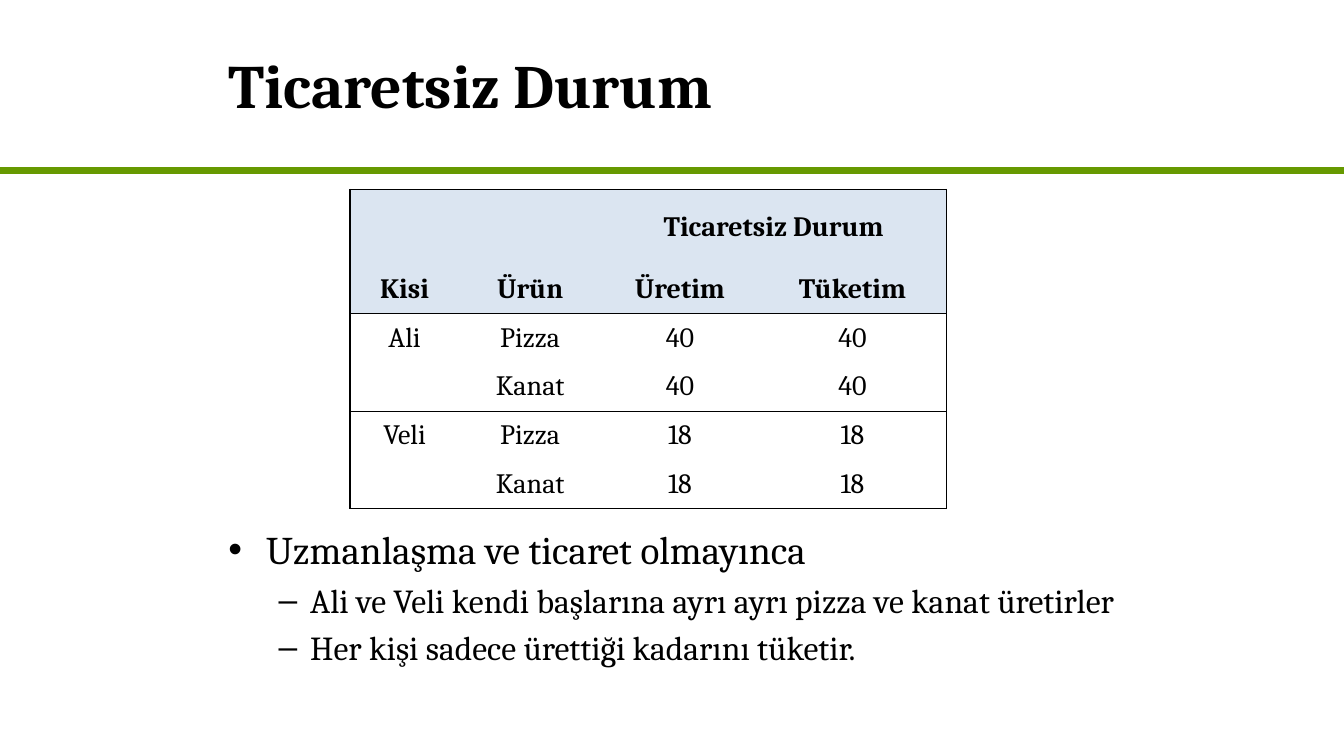
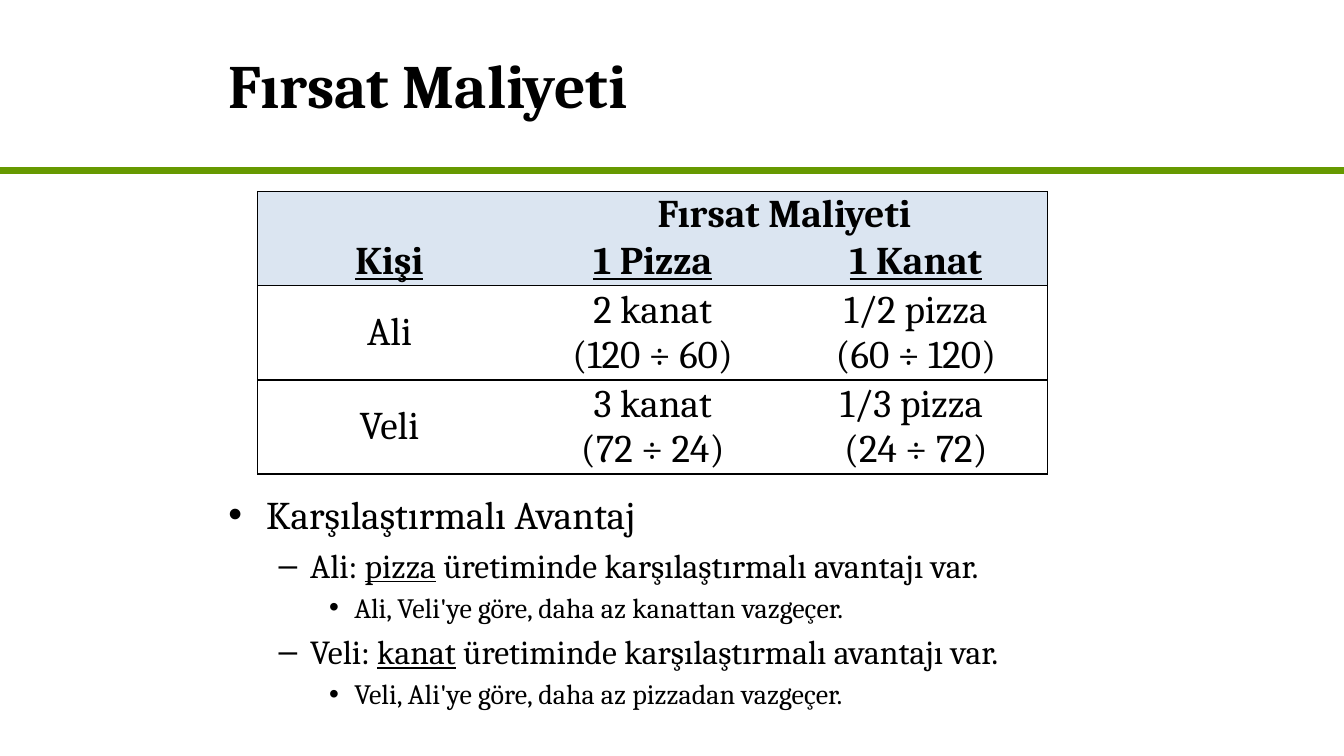
import pptx
import pptx.dml.color
import pptx.enum.shapes
import pptx.enum.text
import pptx.oxml
import pptx.oxml.ns
import pptx.util
from pptx.util import Pt

RGB = pptx.dml.color.RGBColor
BLACK = RGB(0x00, 0x00, 0x00)
GREEN = RGB(0x66, 0x99, 0x00)
PALE_BLUE = RGB(0xDB, 0xE5, 0xF1)
FONT = "Cambria"
SLIDE_W, SLIDE_H = 960, 540
LEFT = 156
RULE_Y = 121.7
HEADER_ROWS = 2
NS = pptx.oxml.ns.nsdecls("a")

# Per outline level: text size, left margin, hanging indent, bullet
LEVELS = [(28, 27, 27, "•"), (24, 58.5, 22.5, "–"), (20, 90, 18, "•")]

# Outline items: level, then runs as (text, underlined).
# Tables: "ruled" lists the rows with a line below; the header's last two
# cells of the first row are merged.
SLIDES = [
    {
        "title": "Ticaretsiz Durum",
        "table": {
            "at": (250, 135.4), "size": 20, "underline": False,
            "cols": [78, 101.5, 112.5, 134],
            "rows": [54] + [34.8] * 5,
            "ruled": {1, 3, 5},
            "cells": [
                ["", "", "Ticaretsiz Durum", ""],
                ["Kisi", "Ürün", "Üretim", "Tüketim"],
                ["Ali", "Pizza", "40", "40"],
                ["", "Kanat", "40", "40"],
                ["Veli", "Pizza", "18", "18"],
                ["", "Kanat", "18", "18"],
            ],
        },
        "body_box": (LEFT, 372, 713.5, 148.5),
        "body": [
            (0, [("Uzmanlaşma ve ticaret olmayınca", False)]),
            (1, [("Ali ve Veli kendi başlarına ayrı ayrı pizza ve kanat üretirler", False)]),
            (1, [("Her kişi sadece ürettiği kadarını tüketir.", False)]),
        ],
    },
    {
        "title": "Fırsat Maliyeti",
        "table": {
            "at": (184.2, 136.8), "size": 28, "underline": True,
            "cols": [188] * 3,
            "rows": [33.6] * 2 + [67.2] * 2,
            "ruled": {1, 2, 3},
            "cells": [
                ["", "Fırsat Maliyeti", ""],
                ["Kişi", "1 Pizza", "1 Kanat"],
                ["Ali", "2 kanat\n(120 ÷ 60)", "1/2 pizza\n(60 ÷ 120)"],
                ["Veli", "3 kanat\n(72 ÷ 24)", "1/3 pizza \n(24 ÷ 72)"],
            ],
        },
        "body_box": (LEFT, 347, 648, 178.5),
        "body": [
            (0, [("Karşılaştırmalı Avantaj", False)]),
            (1, [("Ali: ", False), ("pizza", True),
                 (" üretiminde karşılaştırmalı avantajı var.", False)]),
            (2, [("Ali, Veli'ye göre, daha az kanattan vazgeçer.", False)]),
            (1, [("Veli: ", False), ("kanat", True),
                 (" üretiminde karşılaştırmalı avantajı var.", False)]),
            (2, [("Veli, Ali'ye göre, daha az pizzadan vazgeçer.", False)]),
        ],
    },
]


def add_run(p, text, size, bold=False, underline=False):
    r = p.add_run()
    r.text = text
    r.font.name = FONT
    r.font.size = Pt(size)
    r.font.bold = bold
    r.font.underline = underline
    r.font.color.rgb = BLACK


def append_xml(parent, xml):
    parent.append(pptx.oxml.parse_xml(xml))


def set_title(s, text):
    title = s.shapes.title
    title.left, title.top, title.width, title.height = Pt(LEFT), Pt(0), Pt(648), Pt(120)
    tf = title.text_frame
    tf.vertical_anchor = pptx.enum.text.MSO_ANCHOR.MIDDLE
    p = tf.paragraphs[0]
    p.alignment = pptx.enum.text.PP_ALIGN.LEFT
    add_run(p, text, 44, bold=True)


def add_rule(s):
    line = s.shapes.add_connector(pptx.enum.shapes.MSO_CONNECTOR.STRAIGHT,
                                  Pt(0), Pt(RULE_Y), Pt(SLIDE_W), Pt(RULE_Y))
    line.line.color.rgb = GREEN
    line.line.width = Pt(4.5)
    append_xml(line._element.spPr, f"<a:effectLst {NS}/>")


def set_borders(cell, drawn):
    """Draw the sides named in drawn (of L, R, T, B) and clear the others."""
    tcPr = cell._tc.get_or_add_tcPr()
    for side in "LRTB":
        fill = (f'<a:solidFill><a:srgbClr val="{BLACK}"/></a:solidFill>'
                if side in drawn else "<a:noFill/>")
        append_xml(tcPr, f'<a:ln{side} {NS} w="{Pt(1)}">{fill}</a:ln{side}>')


def fill_cell(cell, text, size, bold, underline):
    cell.margin_left = cell.margin_right = Pt(5)
    cell.margin_top = cell.margin_bottom = Pt(0)
    cell.vertical_anchor = pptx.enum.text.MSO_ANCHOR.MIDDLE
    tf = cell.text_frame
    for i, line in enumerate(text.split("\n") if text else []):
        p = tf.add_paragraph() if i else tf.paragraphs[0]
        p.alignment = pptx.enum.text.PP_ALIGN.CENTER
        add_run(p, line, size, bold, underline)


def add_grid(s, data):
    cols, rows = data["cols"], data["rows"]
    x, y = data["at"]
    table = s.shapes.add_table(len(rows), len(cols), Pt(x), Pt(y),
                               Pt(sum(cols)), Pt(sum(rows))).table
    for col, width in zip(table.columns, cols):
        col.width = Pt(width)
    for row, height in zip(table.rows, rows):
        row.height = Pt(height)
    last = len(cols) - 1
    table.cell(0, last - 1).merge(table.cell(0, last))

    for r, texts in enumerate(data["cells"]):
        header = r < HEADER_ROWS
        for c, text in enumerate(texts):
            cell = table.cell(r, c)
            end = c + cell.span_width - 1 if cell.is_merge_origin else c
            sides = {"L": c == 0, "R": end == last,
                     "T": r == 0 or r - 1 in data["ruled"], "B": r in data["ruled"]}
            set_borders(cell, [side for side, on in sides.items() if on])
            if header:
                cell.fill.solid()
                cell.fill.fore_color.rgb = PALE_BLUE
            else:
                cell.fill.background()
            fill_cell(cell, text, data["size"], header,
                      data["underline"] and r == HEADER_ROWS - 1)


def add_outline(s, box, items):
    tf = s.shapes.add_textbox(*map(Pt, box)).text_frame
    tf.word_wrap = True
    for i, (level, runs) in enumerate(items):
        size, margin, hanging, bullet = LEVELS[level]
        p = tf.add_paragraph() if i else tf.paragraphs[0]
        p.level = level
        pPr = p._p.get_or_add_pPr()
        pPr.set("marL", str(Pt(margin)))
        pPr.set("indent", str(-Pt(hanging)))
        append_xml(pPr, f'<a:spcBef {NS}><a:spcPct val="20000"/></a:spcBef>')
        append_xml(pPr, f'<a:buFont {NS} typeface="Arial"/>')
        append_xml(pPr, f'<a:buChar {NS} char="{bullet}"/>')
        for text, underlined in runs:
            add_run(p, text, size, underline=underlined)


def main():
    prs = pptx.Presentation()
    prs.slide_width, prs.slide_height = Pt(SLIDE_W), Pt(SLIDE_H)
    title_only = prs.slide_layouts[5]
    for content in SLIDES:
        s = prs.slides.add_slide(title_only)
        add_rule(s)
        set_title(s, content["title"])
        add_outline(s, content["body_box"], content["body"])
        add_grid(s, content["table"])
    prs.save("out.pptx")


if __name__ == "__main__":
    main()
